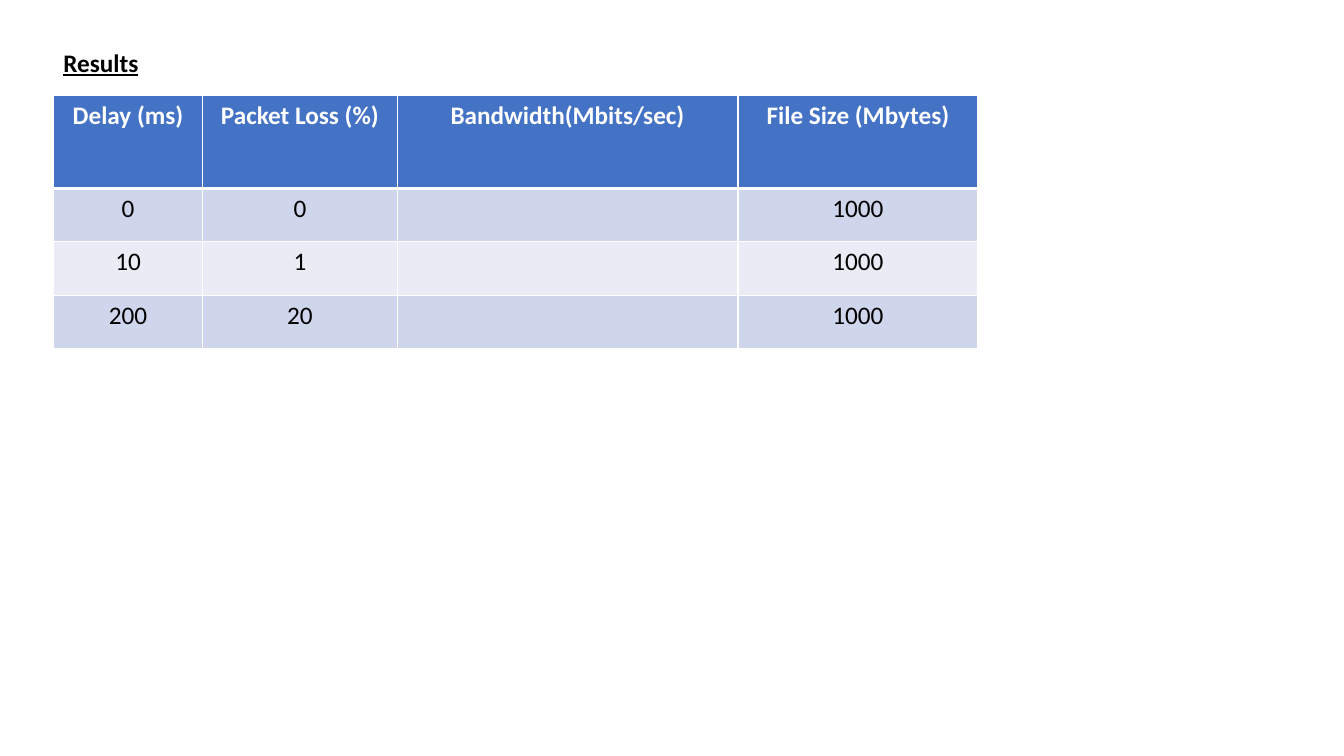
from lxml import etree
from pptx import Presentation
from pptx.dml.color import RGBColor
from pptx.enum.text import MSO_AUTO_SIZE, PP_ALIGN
from pptx.oxml.ns import qn
from pptx.util import Inches, Pt

CENTER, JUSTIFY = PP_ALIGN.CENTER, PP_ALIGN.JUSTIFY
GROW = MSO_AUTO_SIZE.SHAPE_TO_FIT_TEXT
COLORS = {"header": "4472C4", "odd": "CFD5EA", "even": "E9EBF5",
          "white": "FFFFFF", "black": "000000"}
LEFT = 0.53
COL_WIDTHS = [1.48, 1.93, 3.38, 2.38]
ROW_HEIGHTS = [0.92, 0.53, 0.53, 0.53]
RESULTS = [
    ["Delay (ms)", "Packet Loss (%)", "Bandwidth(Mbits/sec)", "File Size (Mbytes)"],
    ["0", "0", "", "1000"],
    ["10", "1", "", "1000"],
    ["200", "20", "", "1000"],
]


def style_text(p, align, color, bold):
    """Align a paragraph and format its runs."""
    p.alignment = align
    p.font.size = Pt(18)
    for r in p.runs:
        r.font.name, r.font.size, r.font.bold = "Calibri", Pt(18), bold
        r.font.color.rgb = RGBColor.from_string(COLORS[color])


def set_borders(cell, widths):
    """Draw white cell borders, with widths in points by side."""
    tcPr = cell._tc.get_or_add_tcPr()
    for i, (side, width) in enumerate(widths.items()):
        ln = etree.Element(qn("a:ln" + side), w=str(Pt(width)))
        fill = etree.SubElement(ln, qn("a:solidFill"))
        etree.SubElement(fill, qn("a:srgbClr"), val=COLORS["white"])
        tcPr.insert(i, ln)


prs = Presentation()
prs.slide_width, prs.slide_height = Inches(13.33), Inches(7.5)
s = prs.slides.add_slide(prs.slide_layouts[6])

# Results table
table = s.shapes.add_table(
    len(RESULTS), len(COL_WIDTHS), Inches(LEFT), Inches(0.95),
    Inches(sum(COL_WIDTHS)), Inches(sum(ROW_HEIGHTS))).table
for column, width in zip(table.columns, COL_WIDTHS):
    column.width = Inches(width)
for i, (values, height) in enumerate(zip(RESULTS, ROW_HEIGHTS)):
    table.rows[i].height = Inches(height)
    header = i == 0
    band = "header" if header else "odd" if i % 2 else "even"
    for j, value in enumerate(values):
        cell = table.cell(i, j)
        cell.text_frame.text = value
        style_text(cell.text_frame.paragraphs[0], CENTER,
                   "white" if header else "black", header)
        cell.fill.solid()
        cell.fill.fore_color.rgb = RGBColor.from_string(COLORS[band])
        set_borders(cell, {"L": 1, "R": 1, "T": 3 if i == 1 else 1,
                           "B": 3 if header else 1})

# Heading
sp = s.shapes.add_textbox(Inches(LEFT), Inches(0.42), Inches(11.89), Inches(0.4))
tf = sp.text_frame
tf.word_wrap, tf.auto_size = True, GROW
tf.text = "Results"
p = tf.paragraphs[0]
style_text(p, JUSTIFY, "black", True)
p.runs[0].font.underline = True

prs.save("out.pptx")
